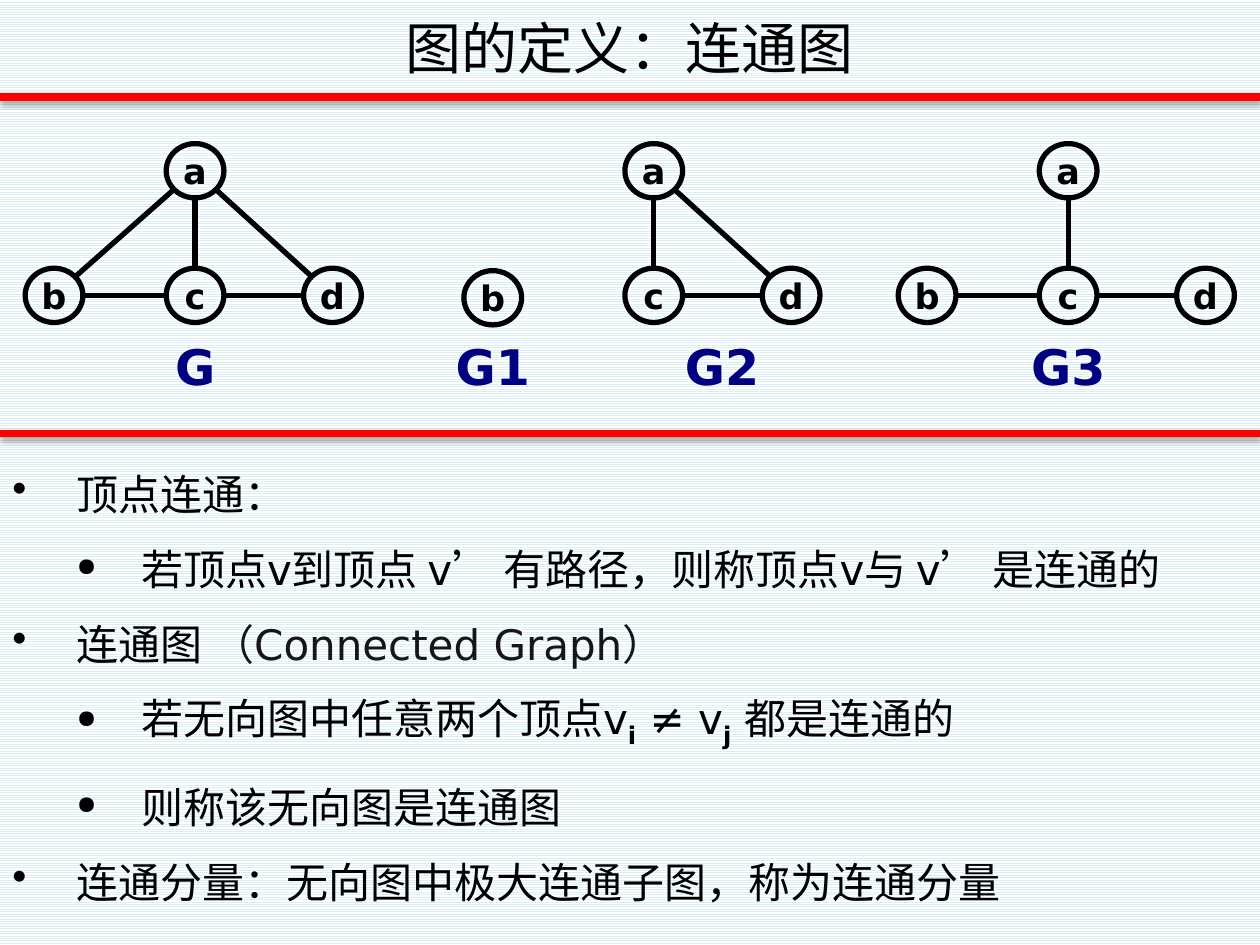
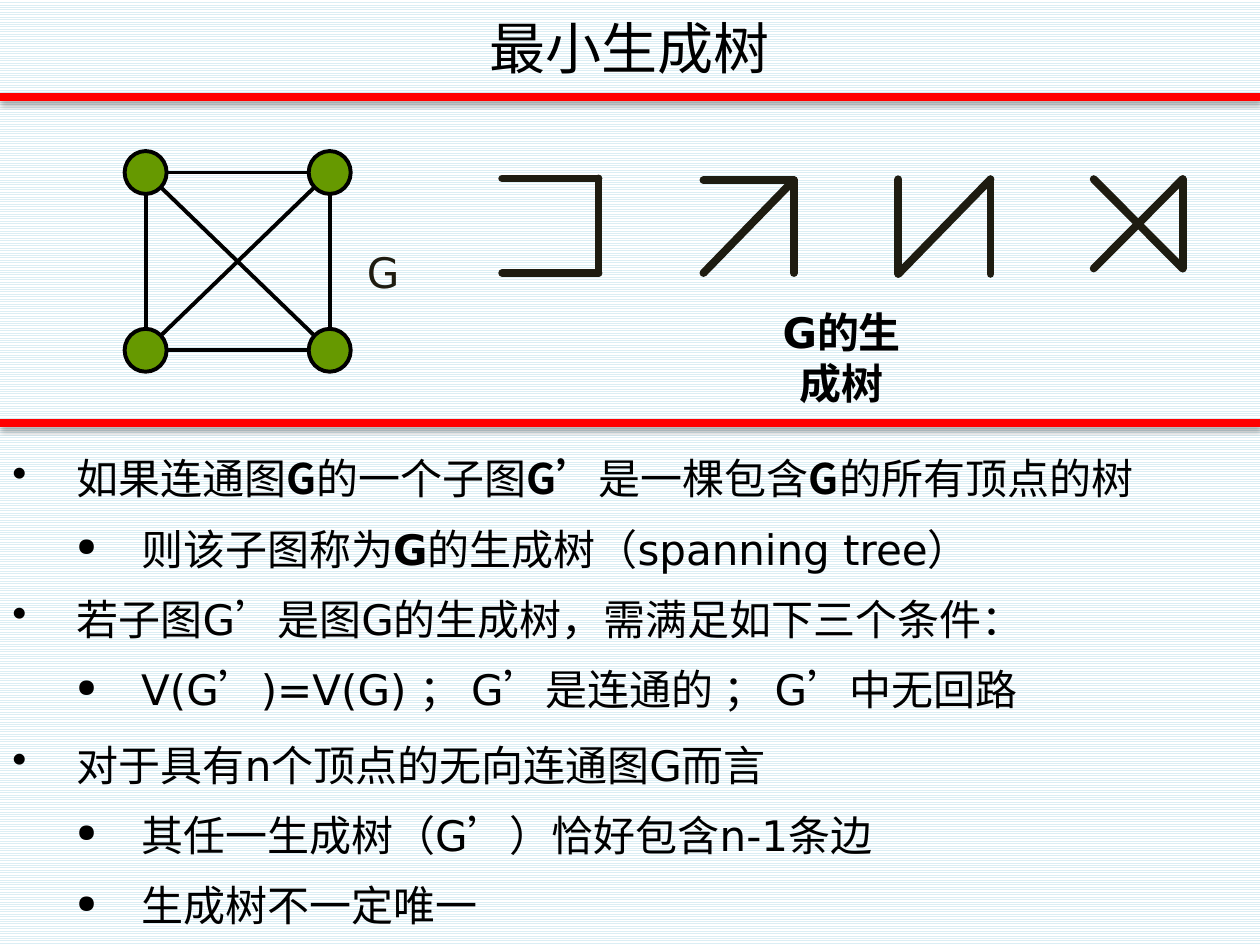
import math
from dataclasses import dataclass
from itertools import pairwise

import pptx
import pptx.dml.color
import pptx.enum.dml
import pptx.enum.shapes
import pptx.enum.text
import pptx.oxml.ns
import pptx.util
from lxml import etree

Pt = pptx.util.Pt
qn = pptx.oxml.ns.qn
ALIGN = pptx.enum.text.PP_ALIGN
ANCHOR = pptx.enum.text.MSO_ANCHOR

LATIN, HAN = "DejaVu Sans", "Noto Sans CJK SC"
BLACK, RED, NAVY, GREEN, BROWN = "000000", "FF0000", "000080", "669900", "1E1C11"
WIDTH, HEIGHT = 720, 540
INDENT = 36.8


@dataclass(frozen=True)
class Run:
    text: str
    bold: bool = False
    sub: bool = False
    font: str = LATIN
    color: str = BLACK


@dataclass(frozen=True)
class Item:
    level: int
    pitch: float
    runs: tuple[Run, ...]


@dataclass(frozen=True)
class Label:
    text: str
    x: float
    y: float
    size: float
    color: str
    bold: bool = True


@dataclass(frozen=True)
class Graph:
    nodes: dict[str, tuple[float, float]]
    edges: str


@dataclass(frozen=True)
class NodeStyle:
    width: float
    height: float
    line: float
    fill: str = ""
    named: bool = True


@dataclass(frozen=True)
class Tree:
    left: float
    top: float
    width: float
    height: float
    paths: tuple[str, ...]

    def corner(self, name: str) -> tuple[float, float]:
        return (self.left + self.width * (name[1] == "r"),
                self.top + self.height * (name[0] == "b"))


def rgb(color: str) -> pptx.dml.color.RGBColor:
    return pptx.dml.color.RGBColor.from_string(color)


def add_run(p, run: Run, size: float) -> None:
    r = p.add_run()
    r.text = run.text
    r.font.size = Pt(size)
    r.font.bold = run.bold
    r.font.color.rgb = rgb(run.color)
    r.font.name = run.font
    rPr = r._r.get_or_add_rPr()
    etree.SubElement(rPr, qn("a:ea"), typeface=HAN)
    if run.sub:
        rPr.set("baseline", "-25000")


def add_line(s, start: tuple[float, float], end: tuple[float, float], color: str,
             width: float, rounded: bool = False, shadow: bool = False) -> None:
    c = s.shapes.add_connector(pptx.enum.shapes.MSO_CONNECTOR.STRAIGHT,
                               *(Pt(v) for v in (*start, *end)))
    c.line.color.rgb = rgb(color)
    c.line.width = Pt(width)
    spPr = c._element.spPr
    if rounded:
        spPr.find(qn("a:ln")).set("cap", "rnd")
    effects = etree.SubElement(spPr, qn("a:effectLst"))
    if shadow:
        outer = etree.SubElement(effects, qn("a:outerShdw"), blurRad=str(Pt(3.1)),
                                 dist=str(Pt(1.8)), dir="5400000", rotWithShape="0")
        tone = etree.SubElement(outer, qn("a:srgbClr"), val=BLACK)
        etree.SubElement(tone, qn("a:alpha"), val="35000")


def add_rule(s, y: float) -> None:
    add_line(s, (0, y), (WIDTH, y), RED, 4.5, shadow=True)


def add_label(s, label: Label) -> None:
    w, h = 90, 40
    tf = s.shapes.add_textbox(Pt(label.x - w / 2), Pt(label.y - h / 2), Pt(w), Pt(h)).text_frame
    tf.vertical_anchor = ANCHOR.MIDDLE
    tf.word_wrap = False
    p = tf.paragraphs[0]
    p.alignment = ALIGN.CENTER
    add_run(p, Run(label.text, label.bold, color=label.color), label.size)


def add_node(s, name: str, x: float, y: float, style: NodeStyle) -> None:
    sp = s.shapes.add_shape(pptx.enum.shapes.MSO_SHAPE.OVAL, Pt(x - style.width / 2),
                            Pt(y - style.height / 2), Pt(style.width), Pt(style.height))
    sp.shadow.inherit = False
    sp.line.color.rgb = rgb(BLACK)
    sp.line.width = Pt(style.line)
    if style.fill:
        sp.fill.solid()
        sp.fill.fore_color.rgb = rgb(style.fill)
    else:
        sp.fill.background()
    if style.named:
        tf = sp.text_frame
        tf.margin_left = tf.margin_right = tf.margin_top = tf.margin_bottom = 0
        tf.vertical_anchor = ANCHOR.MIDDLE
        p = tf.paragraphs[0]
        p.alignment = ALIGN.CENTER
        add_run(p, Run(name, bold=True), 20)


def add_graph(s, graph: Graph, style: NodeStyle) -> None:
    for u, v in graph.edges.split():
        (x1, y1), (x2, y2) = graph.nodes[u], graph.nodes[v]
        dx, dy = x2 - x1, y2 - y1
        t = 0.5 / math.hypot(dx / style.width, dy / style.height)
        add_line(s, (x1 + t * dx, y1 + t * dy), (x2 - t * dx, y2 - t * dy), BLACK, style.line)
    for name, (x, y) in graph.nodes.items():
        add_node(s, name, x, y, style)


def add_tree(s, tree: Tree) -> None:
    for route in tree.paths:
        for start, end in pairwise(route.split()):
            add_line(s, tree.corner(start), tree.corner(end), BROWN, 4.5, rounded=True)


def add_items(s, top: float, items: list[Item]) -> None:
    tf = s.shapes.add_textbox(0, Pt(top), Pt(WIDTH), Pt(HEIGHT - top)).text_frame
    tf.word_wrap = True
    for i, item in enumerate(items):
        p = tf.paragraphs[0] if i == 0 else tf.add_paragraph()
        p.line_spacing = Pt(item.pitch)
        pPr = p._p.get_or_add_pPr()
        pPr.set("marL", str(Pt(INDENT * (item.level + 1))))
        pPr.set("indent", str(-Pt(INDENT)))
        color = etree.SubElement(pPr, qn("a:buClr"))
        etree.SubElement(color, qn("a:srgbClr"), val=BLACK)
        if item.level:
            etree.SubElement(pPr, qn("a:buSzPct"), val="60000")
        etree.SubElement(pPr, qn("a:buChar"), char="•●"[item.level])
        for run in item.runs:
            add_run(p, run, 24)


def add_slide(prs, title: str, rule_y: float):
    s = prs.slides.add_slide(prs.slide_layouts[6])
    fill = s.background.fill
    fill.patterned()
    fill.pattern = pptx.enum.dml.MSO_PATTERN.LIGHT_HORIZONTAL
    fill.fore_color.rgb = rgb("DBEEF4")
    fill.back_color.rgb = rgb("FFFFFF")
    tf = s.shapes.add_textbox(0, Pt(3.6), Pt(WIDTH), Pt(46.8)).text_frame
    tf.word_wrap = True
    tf.vertical_anchor = ANCHOR.MIDDLE
    p = tf.paragraphs[0]
    p.alignment = ALIGN.CENTER
    add_run(p, Run(title, font=HAN), 32)
    for y in (55.4, rule_y):
        add_rule(s, y)
    return s


def star_graph(x: float, names: str, edges: str) -> Graph:
    places = {"a": (x, 97.6), "b": (x - 80.6, 168.8), "c": (x, 168.8), "d": (x + 78.5, 168.8)}
    return Graph({name: places[name] for name in names}, edges)


def build_connected(prs) -> None:
    s = add_slide(prs, "图的定义：连通图", 247.7)
    style = NodeStyle(33, 31, 3)
    for graph in (star_graph(111.5, "abcd", "ab ac ad bc cd"),
                  Graph({"b": (281.6, 170.2)}, ""),
                  star_graph(373.6, "acd", "ac ad cd"),
                  star_graph(610.4, "abcd", "ac bc cd")):
        add_graph(s, graph, style)
    for text, x in (("G", 111.5), ("G1", 281.6), ("G2", 412.6), ("G3", 610.4)):
        add_label(s, Label(text, x, 209, 28, NAVY))
    add_items(s, 249.7, [
        Item(0, 43, (Run("顶点连通："),)),
        Item(1, 43, (Run("若顶点v到顶点 v’ 有路径，则称顶点v与 v’ 是连通的"),)),
        Item(0, 43, (Run("连通图 "), Run("（Connected Graph）", color="161616"))),
        Item(1, 46, (Run("若无向图中任意两个顶点v"), Run("i", True, True), Run(" ≠ v"),
                     Run("j", True, True), Run(" 都是连通的"))),
        Item(1, 47, (Run("则称该无向图是连通图"),)),
        Item(0, 43, (Run("连通分量：无向图中极大连通子图，称为连通分量"),)),
    ])


def build_spanning(prs) -> None:
    s = add_slide(prs, "最小生成树", 241.9)
    left, right, top, bottom = 83.2, 188.4, 98.6, 200.2
    square = Graph({"a": (left, top), "b": (right, top), "c": (right, bottom),
                    "d": (left, bottom)}, "ab bc cd da ac bd")
    add_graph(s, square, NodeStyle(24, 24.5, 2.25, GREEN, named=False))
    for tree in (Tree(287, 102, 55, 54, ("tl tr br bl",)),
                 Tree(402, 103, 51.6, 53, ("tl tr br", "tr bl")),
                 Tree(513.4, 102.5, 52.6, 54, ("tl bl tr br",)),
                 Tree(625, 102.4, 50.8, 51, ("tl br tr bl",))):
        add_tree(s, tree)
    add_label(s, Label("G", 219, 155, 24, BROWN, bold=False))
    add_label(s, Label("G的生成树", 481, 204, 24, BLACK))
    add_items(s, 243.9, [
        Item(0, 40.2, (Run("如果连通图", font=HAN), Run("G", True, font=HAN),
                       Run("的一个子图", font=HAN), Run("G", True, font=HAN),
                       Run("’", True), Run("是一棵包含", font=HAN),
                       Run("G", True, font=HAN), Run("的所有顶点的树", font=HAN))),
        Item(1, 40.2, (Run("则该子图称为"), Run("G", True), Run("的生成树（spanning tree）"))),
        Item(0, 40.2, (Run("若子图G’是图G的生成树，需满足如下三个条件："),)),
        Item(1, 40.2, (Run("V(G’)=V(G) ； G’是连通的 ； G’中无回路"),)),
        Item(0, 43, (Run("对于具有n个顶点的无向连通图G而言"),)),
        Item(1, 40.2, (Run("其任一生成树（G’）恰好包含n-1条边"),)),
        Item(1, 40.2, (Run("生成树不一定唯一"),)),
    ])


def main() -> None:
    prs = pptx.Presentation()
    prs.slide_width, prs.slide_height = Pt(WIDTH), Pt(HEIGHT)
    build_connected(prs)
    build_spanning(prs)
    prs.save("out.pptx")


if __name__ == "__main__":
    main()
